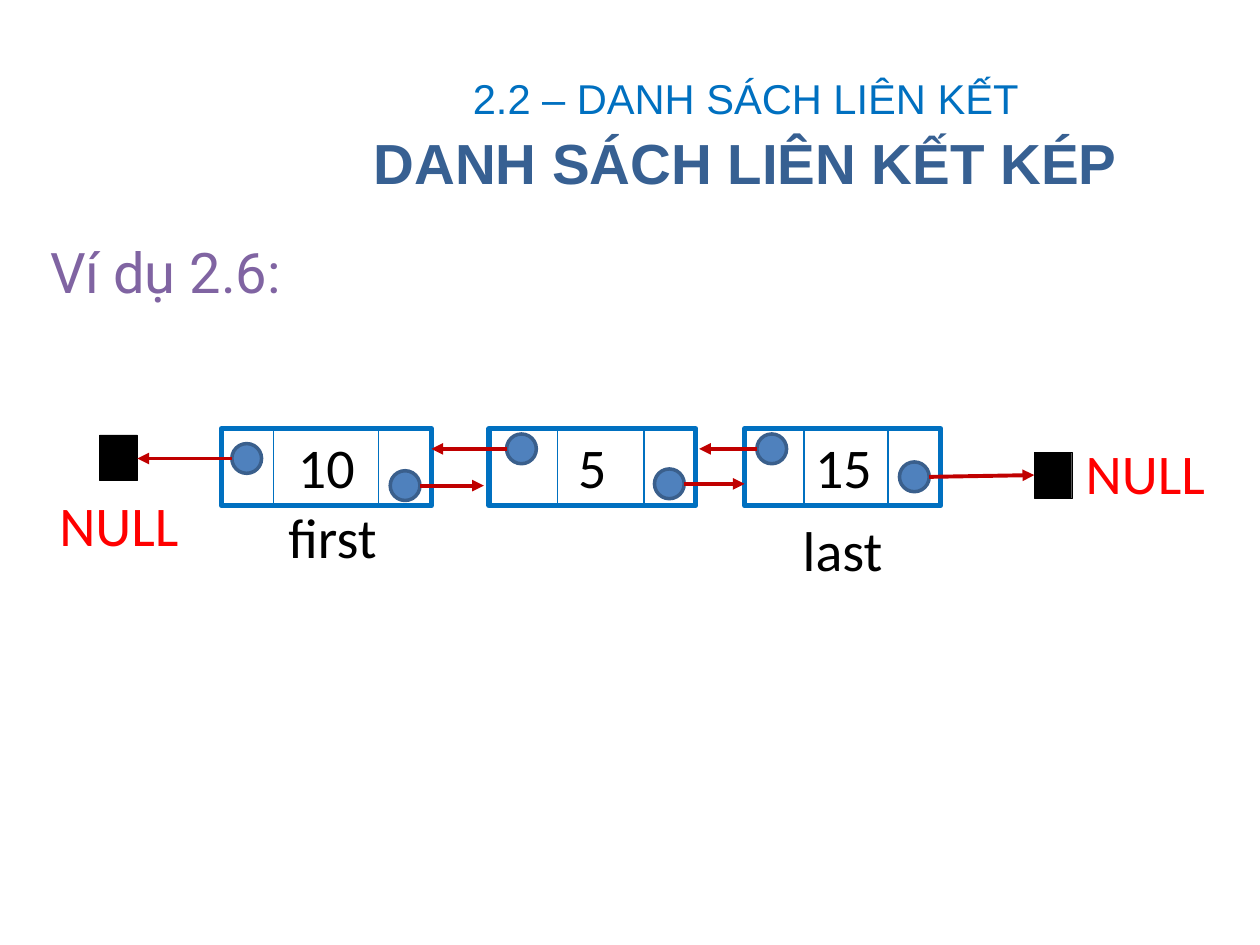
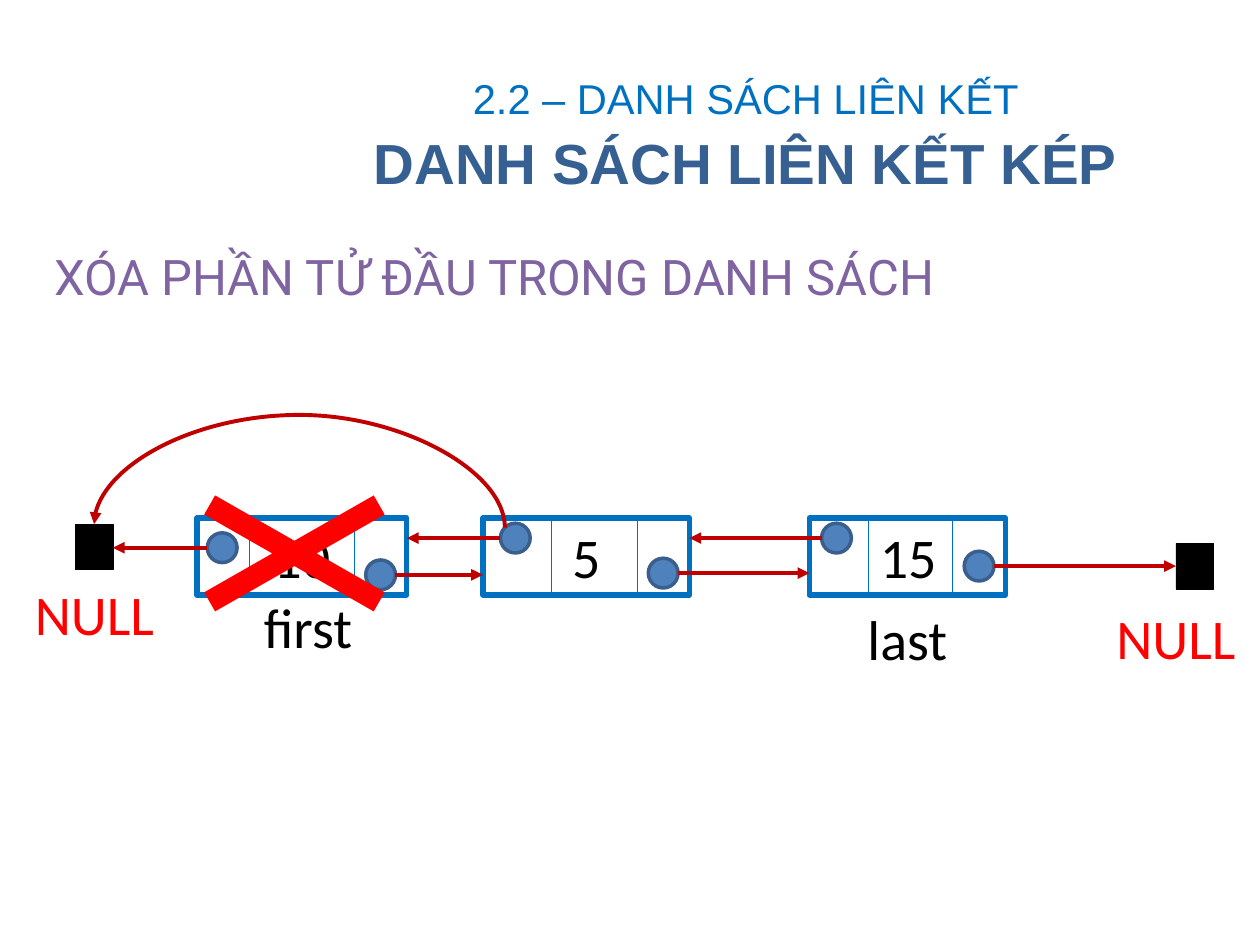
from collections import namedtuple

from lxml import etree
from pptx import Presentation
from pptx.dml import color
from pptx.enum import shapes, text
from pptx.oxml import ns
from pptx.util import Pt

COLORS = {
    "chapter": "0070C0",
    "title": "376092",
    "heading": "8064A2",
    "node": "0070C0",
    "dot": "4F81BD",
    "dot_edge": "3A5F8C",
    "arrow": "C00000",
    "ink": "000000",
    "alert": "FF0000",
}
NODE_HEIGHT = 44
DOT = 17
NULL_WIDTH, NULL_HEIGHT = 21.5, 26
LABEL_WIDTH, LABEL_HEIGHT = 84, 29

Node = namedtuple("Node", "value width dividers value_left back next caption")
NODES = [
    Node("10", 120, (30, 90), 30, (6, 8.5), (96.5, 24), ("first", 21.5, 47)),
    Node("5", 118, (39, 88.5), 29, (10, 3), (94.5, 23), None),
    Node("15", 112, (34, 82), 26.5, (7, 3), (88.5, 19), ("last", 14, 54)),
]


def rgb(name):
    return color.RGBColor.from_string(COLORS[name])


def set_font(para, name, size, ink, bold=False):
    para.font.name = name
    para.font.size = Pt(size)
    para.font.bold = bold
    para.font.color.rgb = rgb(ink)


def add_box(page, left, top, width, height):
    box = page.shapes.add_textbox(Pt(left), Pt(top), Pt(width), Pt(height))
    box.text_frame.word_wrap = True
    return box.text_frame


def add_label(page, left, top, width, words, ink="ink"):
    frame = add_box(page, left, top, width, LABEL_HEIGHT)
    frame.margin_left = frame.margin_right = 0
    frame.vertical_anchor = text.MSO_ANCHOR.MIDDLE
    para = frame.paragraphs[0]
    para.text = words
    para.alignment = text.PP_ALIGN.CENTER
    set_font(para, "Calibri", 32, ink)


def add_figure(page, kind, left, top, width, height, fill=None, edge=None, weight=1):
    figure = page.shapes.add_shape(kind, Pt(left), Pt(top), Pt(width), Pt(height))
    figure.shadow.inherit = False
    if fill:
        figure.fill.solid()
        figure.fill.fore_color.rgb = rgb(fill)
    else:
        figure.fill.background()
    if edge:
        figure.line.color.rgb = rgb(edge)
        figure.line.width = Pt(weight)
    else:
        figure.line.fill.background()
    return figure


def add_line(page, start, end, ink, weight, kind=shapes.MSO_CONNECTOR.STRAIGHT):
    line = page.shapes.add_connector(kind, *[Pt(value) for value in (*start, *end)])
    line.line.color.rgb = rgb(ink)
    line.line.width = Pt(weight)
    etree.SubElement(line._element.spPr, ns.qn("a:effectLst"))
    return line


def add_arrow(page, start, end, kind=shapes.MSO_CONNECTOR.STRAIGHT):
    arrow = add_line(page, start, end, "arrow", 2.25, kind)
    outline = arrow._element.spPr.find(ns.qn("a:ln"))
    etree.SubElement(outline, ns.qn("a:tailEnd"), type="triangle")
    return arrow


def add_arc(page, start, end, rise):
    span = start[0] - end[0]
    drop = start[1] - end[1]
    middle_x = (start[0] + end[0]) / 2
    middle_y = (start[1] + end[1]) / 2
    arc = add_arrow(
        page,
        (middle_x - drop / 2, middle_y - span / 2),
        (middle_x + drop / 2, middle_y + span / 2),
        shapes.MSO_CONNECTOR.CURVE,
    )
    frame = arc._element.spPr.find(ns.qn("a:xfrm"))
    frame.set("rot", "16200000")
    frame.set("flipV", "1")
    guides = arc._element.spPr.find(ns.qn("a:prstGeom")).find(ns.qn("a:avLst"))
    bend = round(rise / drop * 100000)
    etree.SubElement(guides, ns.qn("a:gd"), name="adj1", fmla=f"val {bend}")


def add_title(page):
    frame = add_box(page, 168, 24, 516, 84)
    chapter = frame.paragraphs[0]
    chapter.text = "2.2 – DANH SÁCH LIÊN KẾT"
    chapter.line_spacing = 1.5
    set_font(chapter, "Arial", 23.8, "chapter")
    title = frame.add_paragraph()
    title.text = "DANH SÁCH LIÊN KẾT KÉP"
    title.space_before = Pt(3)
    set_font(title, "Arial", 32.3, "title", bold=True)
    for para in frame.paragraphs:
        para.alignment = text.PP_ALIGN.CENTER


def add_heading(page, left, top, words, size):
    para = add_box(page, left, top, 660, 48).paragraphs[0]
    para.text = words
    set_font(para, "Roboto", size, "heading")


def add_node(page, node, left, top):
    for offset in node.dividers:
        x = left + offset
        add_line(page, (x, top), (x, top + NODE_HEIGHT), "node", 0.75)
    add_label(page, left + node.value_left, top + 7, 60, node.value)
    add_figure(page, shapes.MSO_SHAPE.RECTANGLE, left, top, node.width, NODE_HEIGHT,
               edge="node", weight=3)
    for x, y in (node.back, node.next):
        add_figure(page, shapes.MSO_SHAPE.OVAL, left + x, top + y, DOT, DOT,
                   "dot", "dot_edge", 2)
    if node.caption:
        words, x, y = node.caption
        add_label(page, left + x, top + y, LABEL_WIDTH, words)


def add_null(page, left, top, label_x, label_y):
    add_figure(page, shapes.MSO_SHAPE.RECTANGLE, left, top, NULL_WIDTH, NULL_HEIGHT,
               "ink", "ink", 0.25)
    add_label(page, left + label_x, top + label_y, LABEL_WIDTH, "NULL", "alert")


def add_linked_list(page, top, lefts, head_null, tail_null, next_gap=0, back_gap=0):
    for node, left in zip(NODES, lefts):
        add_node(page, node, left, top)
    add_null(page, *head_null)
    add_null(page, *tail_null)

    back_ends = [head_null[0] + NULL_WIDTH, lefts[0] + NODES[0].width,
                 lefts[1] + NODES[1].width + back_gap]
    next_ends = [lefts[1] - next_gap, lefts[2], tail_null[0]]
    for node, left, back_end, next_end in zip(NODES, lefts, back_ends, next_ends):
        back_y = top + node.back[1] + DOT / 2
        next_y = top + node.next[1] + DOT / 2
        end_y = tail_null[1] + NULL_HEIGHT / 2 if node is NODES[-1] else next_y
        add_arrow(page, (left + node.back[0], back_y), (back_end, back_y))
        add_arrow(page, (left + node.next[0] + DOT, next_y), (next_end, end_y))


def add_example(page):
    add_title(page)
    add_heading(page, 21.5, 132, "Ví dụ 2.6:", 32)
    add_linked_list(page, 245, (126.5, 279.5, 425.5), (57, 248.5, -31, 36.5),
                    (591, 258.5, 21.5, -3), next_gap=3, back_gap=2)


def add_removal(page):
    top, lefts = 296, (112.5, 276, 462.5)
    head_null = (43, 299.5, -31, 36.5)
    add_title(page)
    add_heading(page, 24, 137.5, "XÓA PHẦN TỬ ĐẦU TRONG DANH SÁCH", 28)
    add_linked_list(page, top, lefts, head_null, (672, 310.5, -42, 39))
    back_x, back_y = NODES[1].back
    add_arc(page, (lefts[1] + back_x + 2.5, top + back_y + 2.5),
            (head_null[0] + NULL_WIDTH / 2, head_null[1]), 64)
    cross = add_figure(page, shapes.MSO_SHAPE.MATH_MULTIPLY,
                       lefts[0] - 37.5, top - 33, 186.5, 106.5, "alert")
    cross.adjustments[0] = 0.118


def main():
    deck = Presentation()
    deck.slide_width, deck.slide_height = Pt(720), Pt(540)
    for build in (add_example, add_removal):
        build(deck.slides.add_slide(deck.slide_layouts[6]))
    deck.save("out.pptx")


if __name__ == "__main__":
    main()
